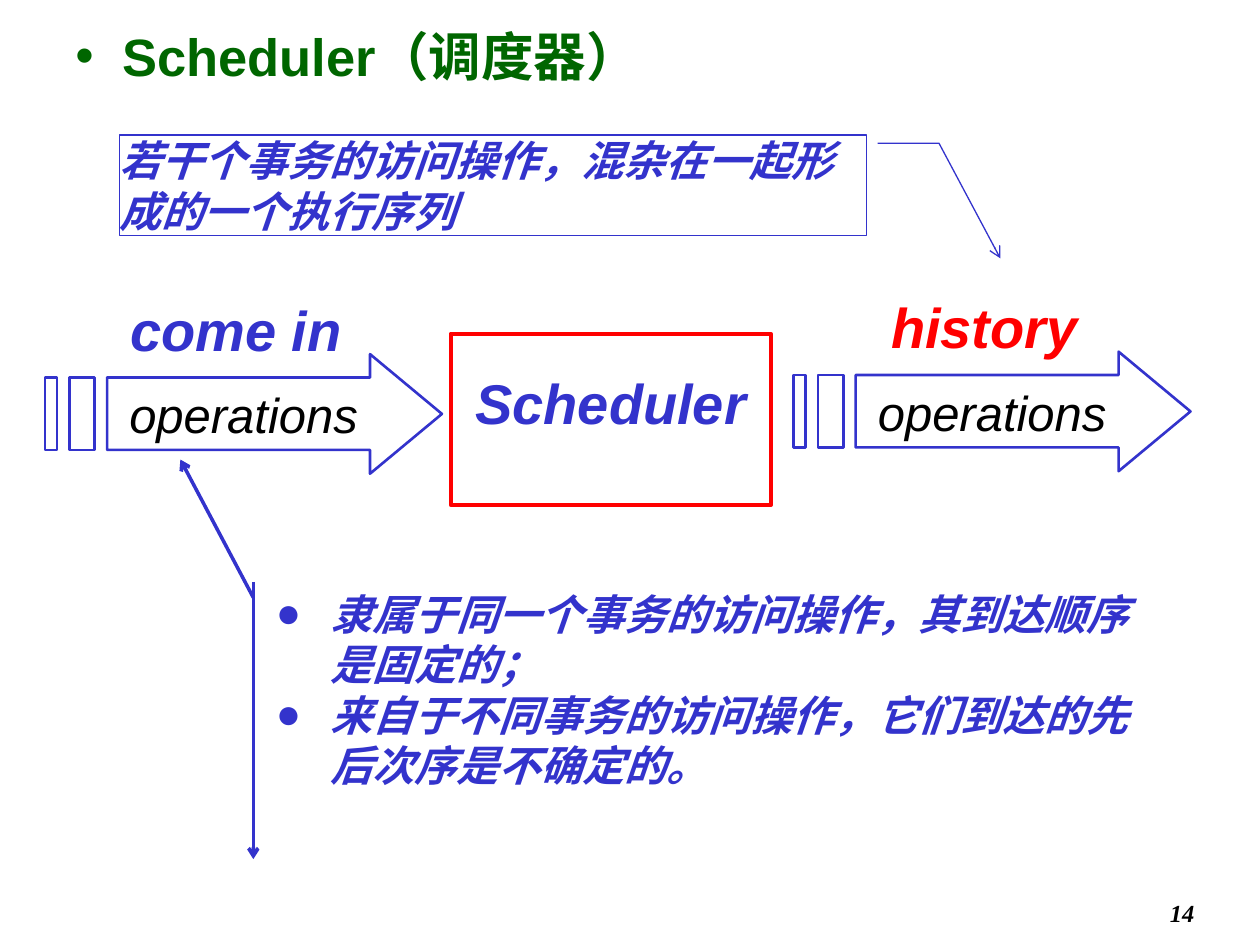
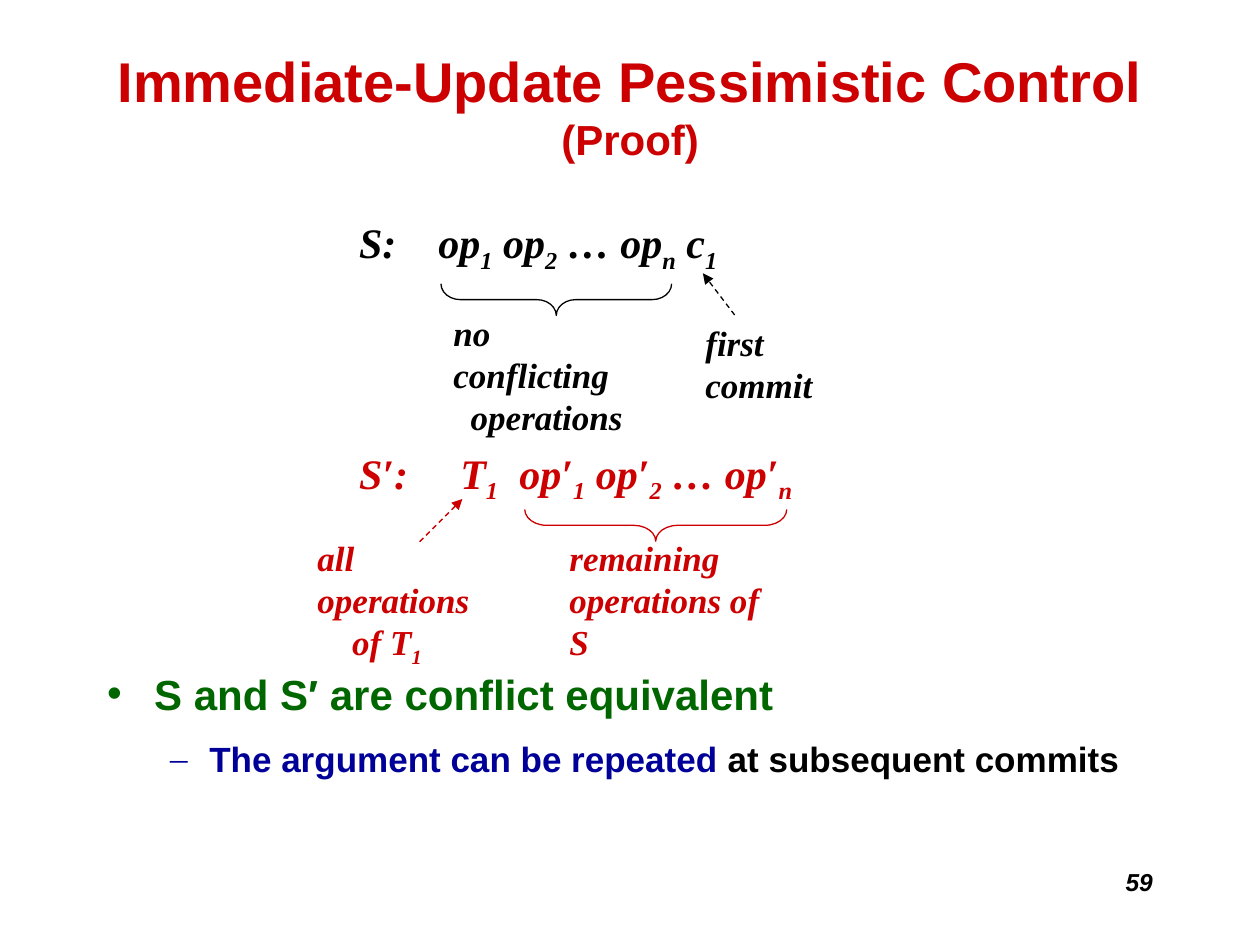
from dataclasses import dataclass

import lxml.etree
import pptx
import pptx.dml.color
import pptx.enum.dml
import pptx.enum.shapes
import pptx.enum.text
import pptx.oxml.ns
import pptx.util

Cm = pptx.util.Cm
Pt = pptx.util.Pt
qn = pptx.oxml.ns.qn
Align = pptx.enum.text.PP_ALIGN
Anchor = pptx.enum.text.MSO_ANCHOR
Preset = pptx.enum.shapes.MSO_SHAPE


@dataclass(frozen=True)
class Theme:
    sans: str = "Arial"
    serif: str = "Times New Roman"
    black: str = "000000"
    white: str = "FFFFFF"
    green: str = "006600"
    blue: str = "3333CC"
    navy: str = "000099"
    red: str = "FF0000"
    crimson: str = "CC0000"
    heading: int = 32
    topic: int = 30
    arrow: int = 28
    body: int = 24
    label: int = 20
    number: int = 14


THEME = Theme()


@dataclass(frozen=True)
class Box:
    """Left, top, width and height in centimetres."""
    left: float
    top: float
    width: float
    height: float

    def lengths(self):
        return [Cm(value) for value in (self.left, self.top, self.width, self.height)]

    def inner(self, left, top, width, height):
        return Box(self.left + left, self.top + top, width, height)


@dataclass(frozen=True)
class Style:
    size: int
    color: str
    font: str = THEME.sans
    bold: bool = True
    italic: bool = False


# ---- Text helpers ----
def rgb(color):
    return pptx.dml.color.RGBColor.from_string(color)


def add_run(paragraph, text, style, subscript=False):
    run = paragraph.add_run()
    run.text = text
    font = run.font
    font.size, font.name = Pt(style.size), style.font
    font.bold, font.italic = style.bold, style.italic
    font.color.rgb = rgb(style.color)
    if subscript:
        font._element.set("baseline", "-25000")


def add_subscripted(paragraph, pieces, style):
    """Write pieces that alternate between plain and subscript."""
    for index, piece in enumerate(pieces):
        add_run(paragraph, piece, style, subscript=index % 2 == 1)


def set_indent(paragraph, margin, hanging=0):
    properties = paragraph._p.get_or_add_pPr()
    properties.set("marL", str(Cm(margin)))
    properties.set("indent", str(-Cm(hanging)))
    return properties


def set_bullet(paragraph, symbol, margin, hanging, font=THEME.sans):
    properties = set_indent(paragraph, margin, hanging)
    lxml.etree.SubElement(properties, qn("a:buFont"), typeface=font)
    lxml.etree.SubElement(properties, qn("a:buChar"), char=symbol)


def set_tabs(paragraph, positions):
    tabs = lxml.etree.SubElement(paragraph._p.get_or_add_pPr(), qn("a:tabLst"))
    for position in positions:
        lxml.etree.SubElement(tabs, qn("a:tab"), pos=str(Cm(position)), algn="l")


def prepare_frame(shape, anchor=Anchor.TOP, align=Align.LEFT, insets=(0.25, 0.13)):
    """Set up the text frame and return it with its first paragraph."""
    frame = shape.text_frame
    frame.word_wrap = True
    frame.vertical_anchor = anchor
    frame.margin_left = frame.margin_right = Cm(insets[0])
    frame.margin_top = frame.margin_bottom = Cm(insets[1])
    paragraph = frame.paragraphs[0]
    paragraph.alignment = align
    return frame, paragraph


def add_text_box(shapes, box, anchor=Anchor.TOP, align=Align.LEFT):
    return prepare_frame(shapes.add_textbox(*box.lengths()), anchor, align)


def add_label(shapes, box, text, style, align=Align.LEFT):
    add_run(add_text_box(shapes, box, align=align)[1], text, style)


# ---- Shape helpers ----
def style_outline(shape, color, width, fill=None):
    shape.shadow.inherit = False
    if fill:
        shape.fill.solid()
        shape.fill.fore_color.rgb = rgb(fill)
    else:
        shape.fill.background()
    shape.line.color.rgb = rgb(color)
    shape.line.width = Pt(width)


def add_arrowhead(shape, kind):
    line = shape._element.spPr.find(qn("a:ln"))
    lxml.etree.SubElement(line, qn("a:tailEnd"), type=kind)


def add_outlined(shapes, preset, box, color, width, fill=None, adjustments=()):
    shape = shapes.add_shape(preset, *box.lengths())
    style_outline(shape, color, width, fill)
    for index, value in enumerate(adjustments):
        shape.adjustments[index] = value
    return shape


def add_dashed_arrow(shapes, start, end, color):
    connector = shapes.add_connector(
        pptx.enum.shapes.MSO_CONNECTOR.STRAIGHT, *[Cm(value) for value in start + end])
    connector.line.color.rgb = rgb(color)
    connector.line.width = Pt(0.75)
    connector.line.dash_style = pptx.enum.dml.MSO_LINE.DASH
    add_arrowhead(connector, "triangle")
    lxml.etree.SubElement(connector._element.spPr, qn("a:effectLst"))


def add_under_brace(shapes, box, bend, color):
    """Turn a left brace so that it fills the wide, flat box."""
    shift = (box.width - box.height) / 2
    upright = box.inner(shift, -shift, box.height, box.width)
    brace = add_outlined(shapes, Preset.LEFT_BRACE, upright, color, 0.75,
                         adjustments=(bend, 0.5))
    brace.rotation = 270


def add_slide_number(slide, box, number, font):
    style = Style(THEME.number, THEME.black, font, italic=True)
    add_label(slide.shapes, box, number, style, Align.RIGHT)


# ---- Scheduler slide ----
def add_operations_arrow(shapes, box, caption, caption_color):
    """Striped arrow with its caption above."""
    upper, lower, neck, body = 0.47, 1.93, 6.55, 1.25
    contours = [[(neck, 0), (neck, upper), (body, upper), (body, lower), (neck, lower),
                 (neck, box.height), (box.width, box.height / 2)]]
    for left, right in ((0.49, 1.0), (0, 0.24)):
        contours.append([(left, upper), (left, lower), (right, lower), (right, upper)])

    builder = None
    for contour in contours:
        points = [(Cm(x), Cm(y)) for x, y in contour]
        if builder is None:
            builder = shapes.build_freeform(*points[0])
        else:
            builder.move_to(*points[0])
        builder.add_line_segments(points[1:], close=True)
    arrow = builder.convert_to_shape(Cm(box.left), Cm(box.top))
    style_outline(arrow, THEME.blue, 1.5)
    paragraph = prepare_frame(arrow, Anchor.MIDDLE, Align.CENTER)[1]
    add_run(paragraph, "operations", Style(THEME.arrow, THEME.black, bold=False, italic=True))
    add_label(shapes, box.inner(1.12, -1.32, 5.46, 1.6), caption,
              Style(THEME.heading, caption_color, italic=True), Align.CENTER)


def add_arrival_callout(shapes, box, style):
    callout = add_outlined(shapes, Preset.LINE_CALLOUT_1_ACCENT_BAR, box, THEME.blue, 2,
                           THEME.white, (0.057, -0.011, -0.441, -0.091))
    add_arrowhead(callout, "arrow")
    frame, paragraph = prepare_frame(callout)
    for index, text in enumerate((
            "隶属于同一个事务的访问操作，其到达顺序是固定的；",
            "来自于不同事务的访问操作，它们到达的先后次序是不确定的。")):
        if index:
            paragraph = frame.add_paragraph()
            paragraph.alignment = Align.LEFT
        set_bullet(paragraph, "●", 1.11, 1.11)
        add_run(paragraph, text, style)


def add_history_callout(shapes, box, style):
    callout = add_outlined(shapes, Preset.LINE_CALLOUT_2, box, THEME.blue, 0.75,
                           adjustments=(0.083, 1.015, 0.083, 1.097, 1.226, 1.179))
    add_arrowhead(callout, "arrow")
    paragraph = prepare_frame(callout, insets=(0, 0))[1]
    add_run(paragraph, "若干个事务的访问操作，混杂在一起形成的一个执行序列", style)


def build_scheduler_slide(slide):
    shapes = slide.shapes
    add_slide_number(slide, Box(19.05, 17.98, 5.28, 0.84), "14", THEME.serif)
    topic = add_text_box(shapes, Box(1.27, 0.36, 22.86, 1.78))[1]
    set_bullet(topic, "•", 0.95, 0.95)
    add_run(topic, "Scheduler（调度器）", Style(THEME.topic, THEME.green))

    # Incoming operations, scheduler, resulting history
    scheduler = add_outlined(shapes, Preset.RECTANGLE, Box(9.09, 6.73, 6.45, 3.45),
                             THEME.red, 2.5)
    paragraph = prepare_frame(scheduler, align=Align.CENTER, insets=(0.25, 0.69))[1]
    add_run(paragraph, "Scheduler", Style(THEME.heading, THEME.blue, italic=True))
    add_operations_arrow(shapes, Box(0.91, 7.14, 8, 2.41), "come in", THEME.blue)
    add_operations_arrow(shapes, Box(16, 7.09, 8, 2.41), "history", THEME.red)

    # Explanations
    remark = Style(THEME.body, THEME.blue, THEME.serif, italic=True)
    add_arrival_callout(shapes, Box(5.31, 11.73, 18.39, 5.59), remark)
    add_history_callout(shapes, Box(2.41, 2.72, 15.06, 2.03), remark)


# ---- Proof slide ----
def add_schedule(slide, box, color, formula, tabs, brace, bend, labels, arrow):
    """One schedule: formula, brace below it, labels and pointer."""
    shapes = slide.shapes.add_group_shape().shapes
    paragraph = add_text_box(shapes, box)[1]
    set_tabs(paragraph, tabs)
    add_subscripted(paragraph, formula, Style(THEME.body, color, THEME.serif, italic=True))
    add_under_brace(shapes, box.inner(*brace), bend, color)

    label_style = Style(THEME.label, color, THEME.serif, italic=True)
    for place, lines in labels:
        frame, paragraph = add_text_box(shapes, box.inner(*place))
        for index, (indent, pieces) in enumerate(lines):
            if index:
                paragraph = frame.add_paragraph()
            set_indent(paragraph, indent)
            add_subscripted(paragraph, pieces, label_style)

    start, end = [(box.left + x, box.top + y) for x, y in arrow]
    add_dashed_arrow(shapes, start, end, color)


def build_proof_slide(slide):
    shapes = slide.shapes
    add_slide_number(slide, Box(18.21, 17.35, 5.28, 1.27), "59", THEME.sans)
    title = add_text_box(shapes, Box(0.64, 1.07, 24.13, 2.11), Anchor.MIDDLE, Align.CENTER)[1]
    add_run(title, "Immediate-Update Pessimistic Control", Style(THEME.heading, THEME.crimson))
    title.add_line_break()
    add_run(title, "(Proof)", Style(THEME.body, THEME.crimson))

    # Conclusion
    frame, claim = add_text_box(shapes, Box(1.91, 13.34, 22.23, 2.54))
    set_bullet(claim, "•", 0.95, 0.95)
    add_run(claim, "S and S′ are conflict equivalent", Style(THEME.body, THEME.green))
    argument = frame.add_paragraph()
    argument.level = 1
    set_bullet(argument, "–", 2.06, 0.79, THEME.serif)
    argument.space_before = Pt(11)
    add_run(argument, "The argument can be repeated ", Style(THEME.label, THEME.navy))
    add_run(argument, "at subsequent commits", Style(THEME.label, THEME.black))

    # Schedule S and its equivalent S′
    add_schedule(
        slide, Box(6.99, 4.24, 9, 1.27), THEME.black,
        ("S:\top", "1", " op", "2", " … op", "n", " c", "1"), (1.6,),
        brace=(1.9, 1.48, 4.65, 0.64), bend=0.61,
        labels=(((1.9, 1.91, 4.32, 1.96), ((0, ["no conflicting"]), (0.35, ["operations"]))),
                ((6.98, 2.11, 3.76, 1.09), ((0, ["first commit"]),))),
        arrow=((7.82, 2.11), (7.18, 1.27)))
    add_schedule(
        slide, Box(6.99, 8.89, 10, 1.27), THEME.crimson,
        ("S′:\tT", "1", "\top′", "1", " op′", "2", " … op′", "n"), (2.04, 3.23),
        brace=(3.59, 1.38, 5.28, 0.64), bend=0.69,
        labels=(((-0.84, 1.8, 4.22, 1.96), ((0, ["all operations"]), (0.7, ["of T", "1"]))),
                ((4.24, 1.8, 4.65, 1.96), ((0, ["remaining"]), (0, ["operations of S"])))),
        arrow=((1.47, 2.03), (2.33, 1.17)))


def main():
    presentation = pptx.Presentation()
    presentation.slide_width, presentation.slide_height = Cm(25.4), Cm(19.05)
    blank = presentation.slide_layouts[6]
    for build in (build_scheduler_slide, build_proof_slide):
        build(presentation.slides.add_slide(blank))
    presentation.save("out.pptx")


if __name__ == "__main__":
    main()
